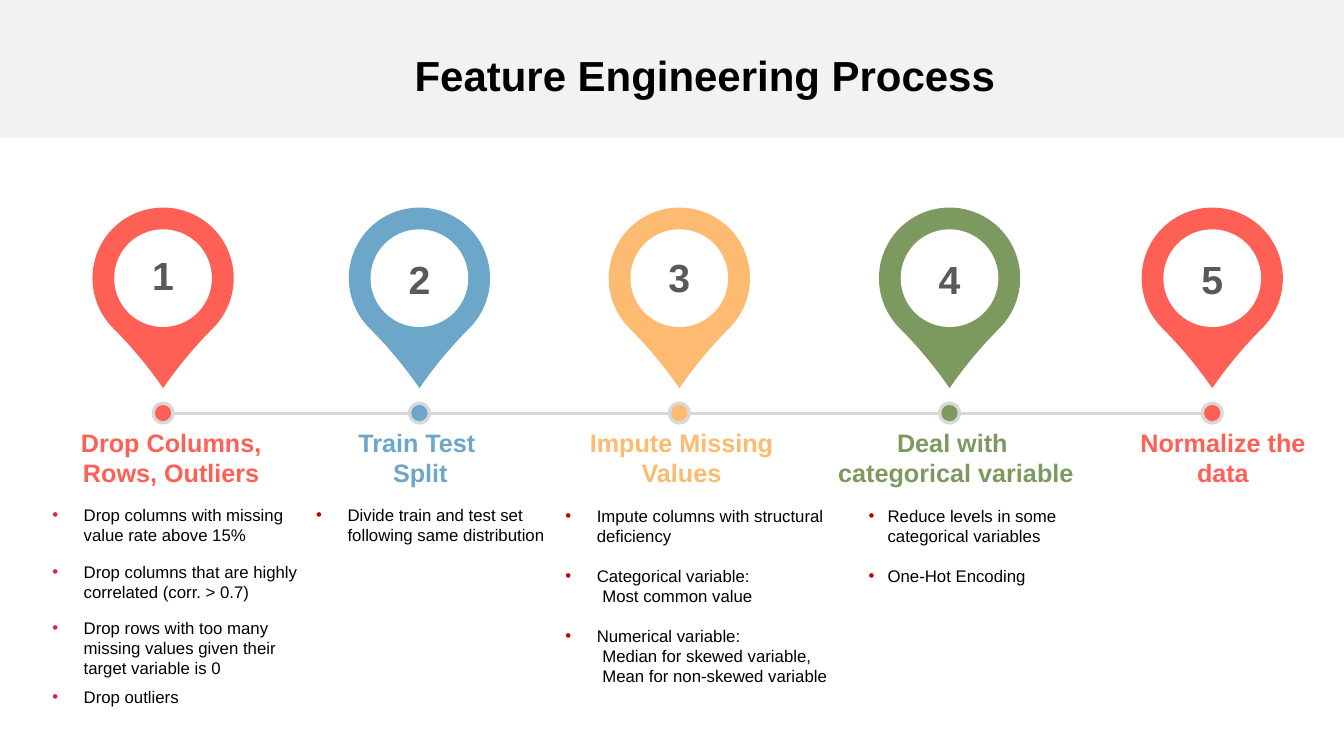
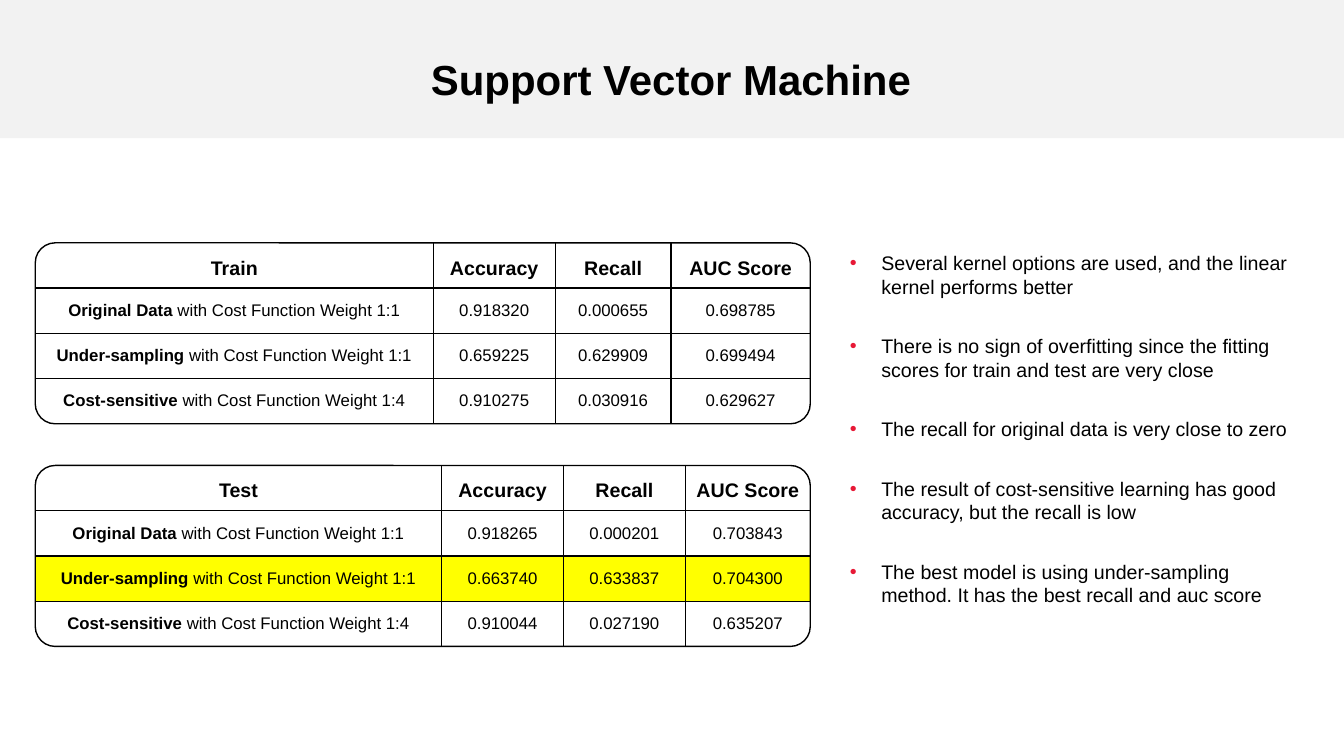
import pptx
import pptx.util
import pptx.dml.color
import pptx.enum.shapes
import pptx.enum.text
import pptx.oxml
import pptx.oxml.ns
import lxml.etree

Cm = pptx.util.Cm
Pt = pptx.util.Pt
SHAPE = pptx.enum.shapes.MSO_SHAPE
MIDDLE = pptx.enum.text.MSO_ANCHOR.MIDDLE
CENTER = pptx.enum.text.PP_ALIGN.CENTER

COLORS = {
    "band": "F2F2F2", "rail": "D8D8D8", "white": "FFFFFF", "black": "000000",
    "number": "595959", "highlight": "FFFF00",
    "coral": "FF6056", "blue": "6CA7CA", "amber": "FDBA71", "green": "7C9A60",
    "crimson": "E71D36", "dark_red": "C00000", "red": "E71936",
}

FORMATS = {
    "title": {"name": "Arial", "size": Pt(30), "bold": True},
    "number": {"name": "Arial", "size": Pt(28), "bold": True},
    "heading": {"name": "Arial", "size": Pt(18), "bold": True},
    "table_head": {"name": "Arial", "size": Pt(14), "bold": True},
    "table_label": {"name": "Arial", "size": Pt(12), "bold": True},
    "table_body": {"name": "Arial", "size": Pt(12), "bold": False},
    "note": {"name": "Arial", "size": Pt(12), "bold": False},
    "finding": {"name": "Arial", "size": Pt(14), "bold": False},
}

SLIDE_WIDTH, SLIDE_HEIGHT, BAND_HEIGHT = 33.87, 19.05, 3.48

PROCESS_TITLE = ("Feature Engineering Process", (8.26, 0.89, 19.02, 1.78))
STEPS = [
    {"center": 4.11, "color": "coral", "number_top": 6.22,
     "heading": ["Drop Columns, Rows, Outliers"], "heading_span": (1.37, 5.89)},
    {"center": 10.57, "color": "blue", "number_top": 6.3,
     "heading": ["Train Test ", "Split"], "heading_span": (7.42, 6.35)},
    {"center": 17.12, "color": "amber", "number_top": 6.25,
     "heading": ["Impute Missing Values"], "heading_span": (14, 6.35)},
    {"center": 23.93, "color": "green", "number_top": 6.3,
     "heading": ["Deal with ", "categorical variable"], "heading_span": (20.75, 6.68)},
    {"center": 30.55, "color": "coral", "number_top": 6.3,
     "heading": ["Normalize the data"], "heading_span": (27.86, 5.92)},
]
NOTES = [
    {"box": (1.07, 12.6, 6.86, 6.45), "bullet": "crimson", "indent": (0.79, 0.79), "lines": [
        ("Drop columns with missing value rate above 15%", 0, True),
        ("Drop columns that are highly correlated (corr. > 0.7)", 11.5, True),
        ("Drop rows with too many missing values given their target variable is 0", 11.5, True),
        ("Drop outliers", 5.75, True)]},
    {"box": (7.72, 12.6, 6.35, 1.27), "bullet": "dark_red", "indent": (0.79, 0.79), "lines": [
        ("Divide train and test set following same distribution", 0, True)]},
    {"box": (14, 12.62, 7.72, 4.88), "bullet": "dark_red", "indent": (0.79, 0.79), "lines": [
        ("Impute columns with structural deficiency", 0, True),
        ("Categorical variable:", 14, True),
        ("Most common value", 0, False),
        ("Numerical variable:", 14, True),
        ("Median for skewed variable,", 0, False),
        ("Mean for non-skewed variable", 0, False)]},
    {"box": (21.64, 12.62, 6.86, 2.31), "bullet": "dark_red", "indent": (0.48, 0.48), "lines": [
        ("Reduce levels in some categorical variables", 0, True),
        ("One-Hot Encoding", 14, True)]},
]
SUBLINE_INDENT = 0.93
RAIL_Y, PIN_Y = 10.41, 7.01
PIN_SIZE, HOLE_SIZE, RING_SIZE, DOT_SIZE = 3.56, 2.46, 0.58, 0.41

SVM_TITLE = ("Support Vector Machine", (4.62, 0.99, 24.59, 1.78))
METRICS = ["Accuracy", "Recall", "AUC Score"]
METHODS = [("Original Data ", "1:1"), ("Under-sampling ", "1:1"), ("Cost-sensitive ", "1:4")]
SCORES = [
    {"name": "Train", "top": 6.12, "columns": (10.03, 3.07, 2.92, 3.51), "best": None,
     "values": [("0.918320", "0.000655", "0.698785"),
                ("0.659225", "0.629909", "0.699494"),
                ("0.910275", "0.030916", "0.629627")]},
    {"name": "Test", "top": 11.73, "columns": (10.24, 3.07, 3.07, 3.15), "best": 2,
     "values": [("0.918265", "0.000201", "0.703843"),
                ("0.663740", "0.633837", "0.704300"),
                ("0.910044", "0.027190", "0.635207")]},
]
TABLE_LEFT, ROW_HEIGHT = 0.89, 1.14
FINDINGS = [
    "Several kernel options are used, and the linear kernel performs better",
    "There is no sign of overfitting since the fitting scores for train and test are very close",
    "The recall for original data is very close to zero",
    "The result of cost-sensitive learning has good accuracy, but the recall is low",
    "The best model is using under-sampling method. It has the best recall and auc score",
]
FINDINGS_BOX, FINDINGS_GAP = (20.85, 6.2, 11.89, 8.99), 25.75


def rgb(color):
    return pptx.dml.color.RGBColor.from_string(COLORS[color])


def add_xml(parent, tag, **attributes):
    child = lxml.etree.SubElement(parent, pptx.oxml.ns.qn(tag))
    for name, value in attributes.items():
        child.set(name, str(value))
    return child


def write(paragraph, text, style, color="black"):
    run = paragraph.add_run()
    run.text = text
    for name, value in FORMATS[style].items():
        setattr(run.font, name, value)
    run.font.color.rgb = rgb(color)


def add_shape(slide, kind, box, fill=None, line=None):
    shape = slide.shapes.add_shape(kind, *map(Cm, box))
    shape.shadow.inherit = False
    if fill:
        shape.fill.solid()
        shape.fill.fore_color.rgb = rgb(fill)
    else:
        shape.fill.background()
    if line:
        shape.line.color.rgb = rgb(line)
        shape.line.width = Pt(1)
    else:
        shape.line.fill.background()
    return shape


def add_centered(slide, kind, center, middle, size, fill):
    return add_shape(slide, kind, (center - size / 2, middle - size / 2, size, size), fill)


def add_text(slide, box):
    frame = slide.shapes.add_textbox(*map(Cm, box)).text_frame
    frame.word_wrap = True
    return frame


def paragraphs(frame, items):
    for index, item in enumerate(items):
        yield (frame.add_paragraph() if index else frame.paragraphs[0]), item


def add_centered_text(slide, box, lines, style, color):
    for paragraph, line in paragraphs(add_text(slide, box), lines):
        paragraph.alignment = CENTER
        write(paragraph, line, style, color)


def add_bullets(slide, box, lines, style, bullet, indent):
    margin, hang = indent
    for paragraph, (text, gap, bulleted) in paragraphs(add_text(slide, box), lines):
        paragraph.space_before = Pt(gap)
        properties = paragraph._p.get_or_add_pPr()
        properties.set("marL", str(Cm(margin if bulleted else SUBLINE_INDENT)))
        properties.set("indent", str(-Cm(hang) if bulleted else 0))
        if bulleted:
            add_xml(add_xml(properties, "a:buClr"), "a:srgbClr", val=COLORS[bullet])
            add_xml(properties, "a:buFont", typeface="Arial")
            add_xml(properties, "a:buChar", char="•")
        write(paragraph, text, style)


def add_titled_slide(deck, text, box):
    slide = deck.slides.add_slide(deck.slide_layouts[5])
    title = slide.shapes.title
    title.left, title.top, title.width, title.height = map(Cm, box)
    band = add_shape(slide, SHAPE.RECTANGLE, (0, 0, SLIDE_WIDTH, BAND_HEIGHT), "band")
    title.element.addprevious(band.element)
    frame = title.text_frame
    frame.word_wrap = True
    frame.auto_size = pptx.enum.text.MSO_AUTO_SIZE.NONE
    frame.vertical_anchor = MIDDLE
    heading = frame.paragraphs[0]
    heading.alignment = CENTER
    heading.line_spacing = 1.18
    write(heading, text, "title")
    return slide


def add_rail(slide, start, end):
    rail = slide.shapes.add_connector(
        pptx.enum.shapes.MSO_CONNECTOR.STRAIGHT, Cm(start), Cm(RAIL_Y), Cm(end), Cm(RAIL_Y))
    rail.line.color.rgb = rgb("rail")
    rail.line.width = Pt(2.25)
    add_xml(rail.element.spPr, "a:effectLst")


def add_step(slide, number, step):
    center, color = step["center"], step["color"]
    add_centered(slide, SHAPE.OVAL, center, RAIL_Y, RING_SIZE, "rail")
    add_centered(slide, SHAPE.OVAL, center, RAIL_Y, DOT_SIZE, color)
    pin = add_centered(slide, SHAPE.TEAR, center, PIN_Y, PIN_SIZE, color)
    pin.adjustments[0] = 1.1
    pin.rotation = 135
    add_centered(slide, SHAPE.OVAL, center, PIN_Y, HOLE_SIZE, "white")
    add_centered_text(slide, (center - 0.89, step["number_top"], 1.78, 1.45),
                      [str(number)], "number", "number")
    left, width = step["heading_span"]
    add_centered_text(slide, (left, 10.64, width, 1.8), step["heading"], "heading", color)


def set_borders(cell, visible):
    properties = cell._tc.get_or_add_tcPr()
    for side in "LRTB":
        border = add_xml(properties, "a:ln" + side, w=Pt(1))
        if side in visible:
            add_xml(add_xml(border, "a:solidFill"), "a:srgbClr", val=COLORS["black"])
        else:
            add_xml(border, "a:noFill")


def add_scores(slide, scores):
    rows = [[[(text, "table_head")] for text in [scores["name"]] + METRICS]]
    for (method, weight), values in zip(METHODS, scores["values"]):
        label = [(method, "table_label"), ("with Cost Function Weight " + weight, "table_body")]
        rows.append([label] + [[(value, "table_body")] for value in values])
    columns = scores["columns"]
    box = (TABLE_LEFT, scores["top"], sum(columns), ROW_HEIGHT * len(rows))
    table = slide.shapes.add_table(len(rows), len(columns), *map(Cm, box)).table
    table.first_row = table.horz_banding = False
    for column, width in zip(table.columns, columns):
        column.width = Cm(width)
    for r, row in enumerate(rows):
        table.rows[r].height = Cm(ROW_HEIGHT)
        for c, runs in enumerate(row):
            cell = table.cell(r, c)
            inner = {"L": c > 0, "R": c < len(columns) - 1, "T": r > 0, "B": r < len(rows) - 1}
            set_borders(cell, [side for side, shown in inner.items() if shown])
            if r == scores["best"]:
                cell.fill.solid()
                cell.fill.fore_color.rgb = rgb("highlight")
            else:
                cell.fill.background()
            cell.vertical_anchor = MIDDLE
            paragraph = cell.text_frame.paragraphs[0]
            paragraph.alignment = CENTER
            if r == 0:
                paragraph.line_spacing = 1.25
            for text, style in runs:
                write(paragraph, text, style)
    frame = add_shape(slide, SHAPE.ROUNDED_RECTANGLE, box, line="black")
    frame.adjustments[0] = 0.11


def main():
    deck = pptx.Presentation()
    deck.slide_width, deck.slide_height = Cm(SLIDE_WIDTH), Cm(SLIDE_HEIGHT)

    process = add_titled_slide(deck, *PROCESS_TITLE)
    for step, following in zip(STEPS, STEPS[1:]):
        add_rail(process, step["center"], following["center"])
    for number, step in enumerate(STEPS, 1):
        add_step(process, number, step)
    for note in NOTES:
        add_bullets(process, note["box"], note["lines"], "note", note["bullet"], note["indent"])

    svm = add_titled_slide(deck, *SVM_TITLE)
    findings = [(text, FINDINGS_GAP if i else 0, True) for i, text in enumerate(FINDINGS)]
    add_bullets(svm, FINDINGS_BOX, findings, "finding", "red", (1.11, 0.79))
    for scores in SCORES:
        add_scores(svm, scores)

    deck.save("out.pptx")


if __name__ == "__main__":
    main()
